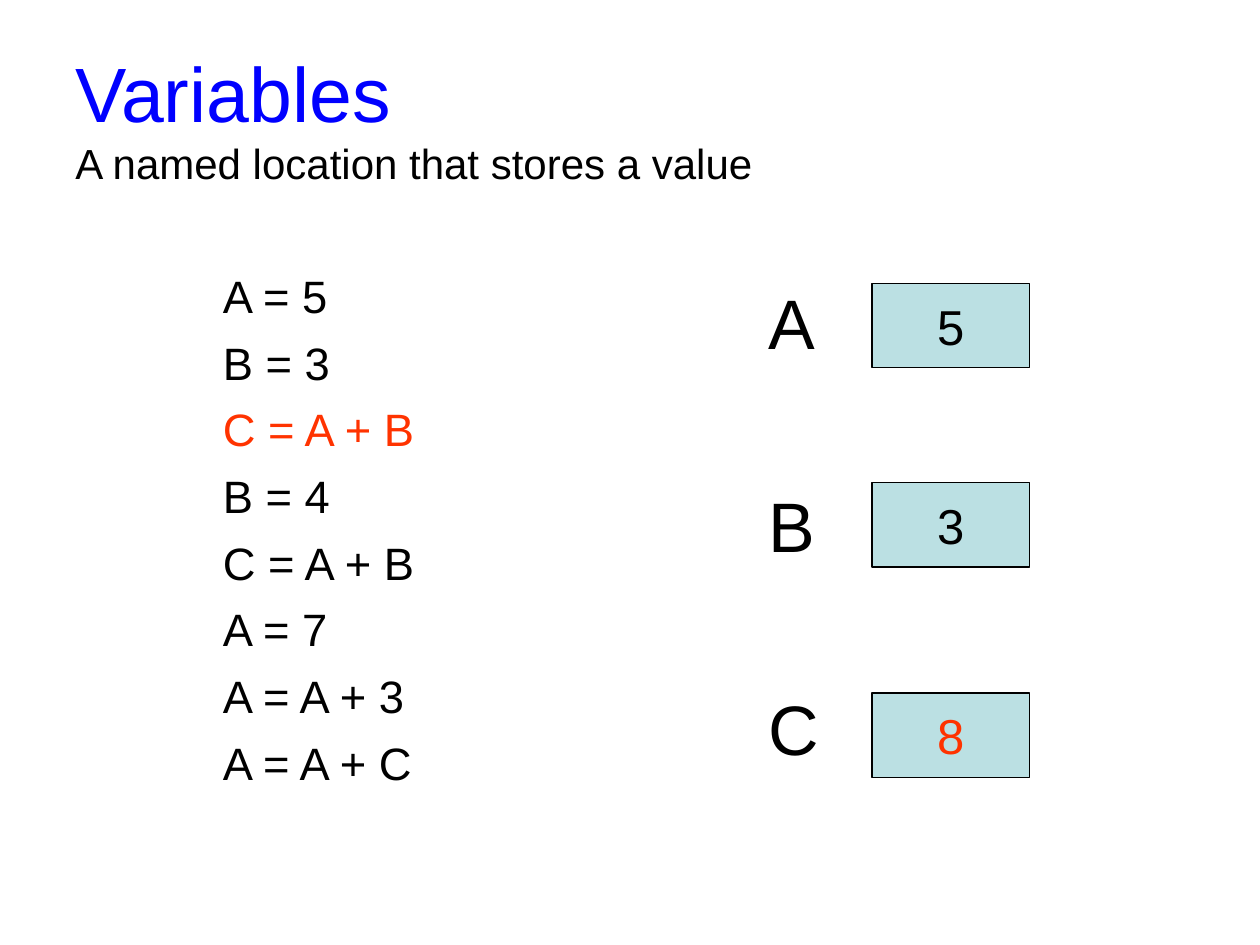
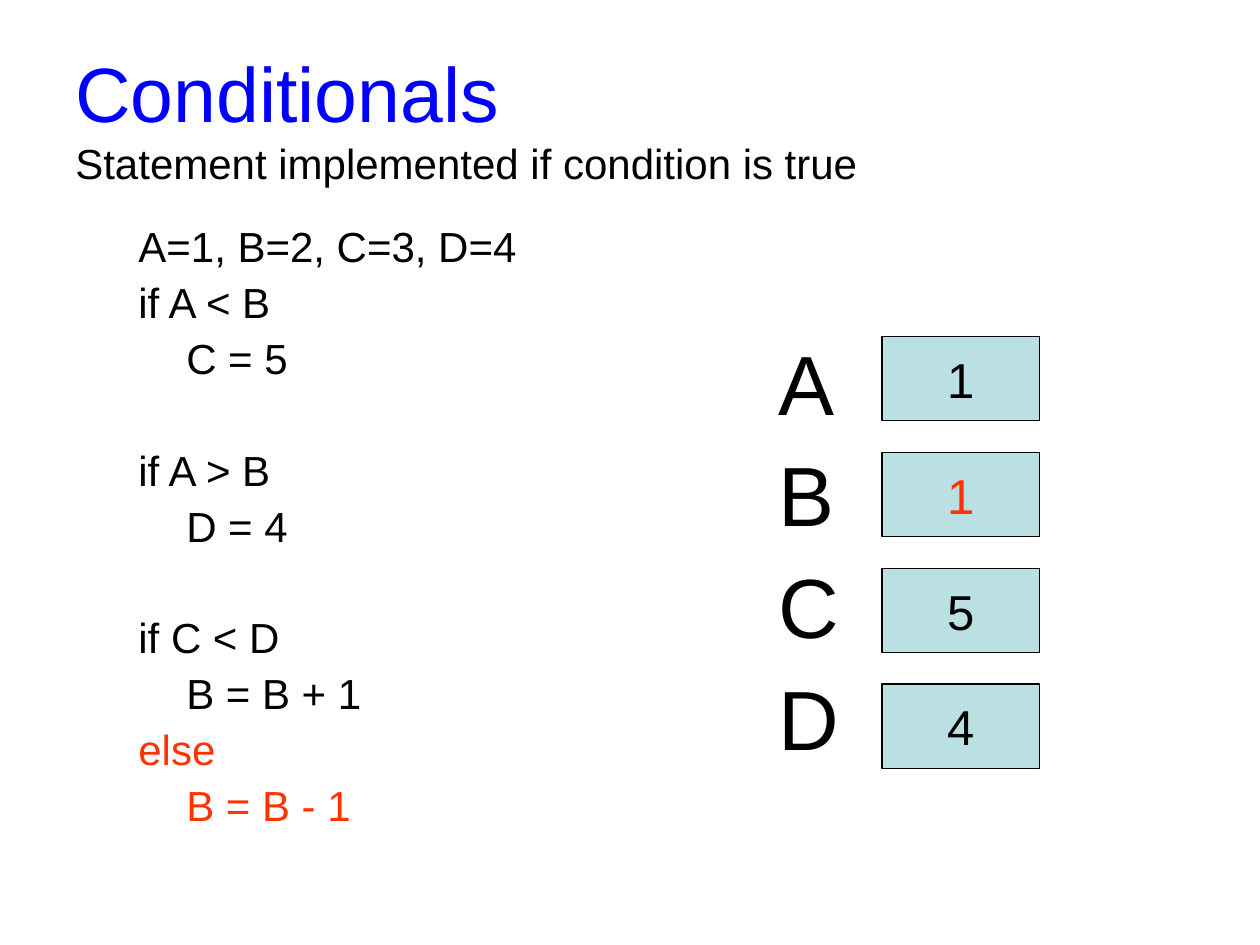
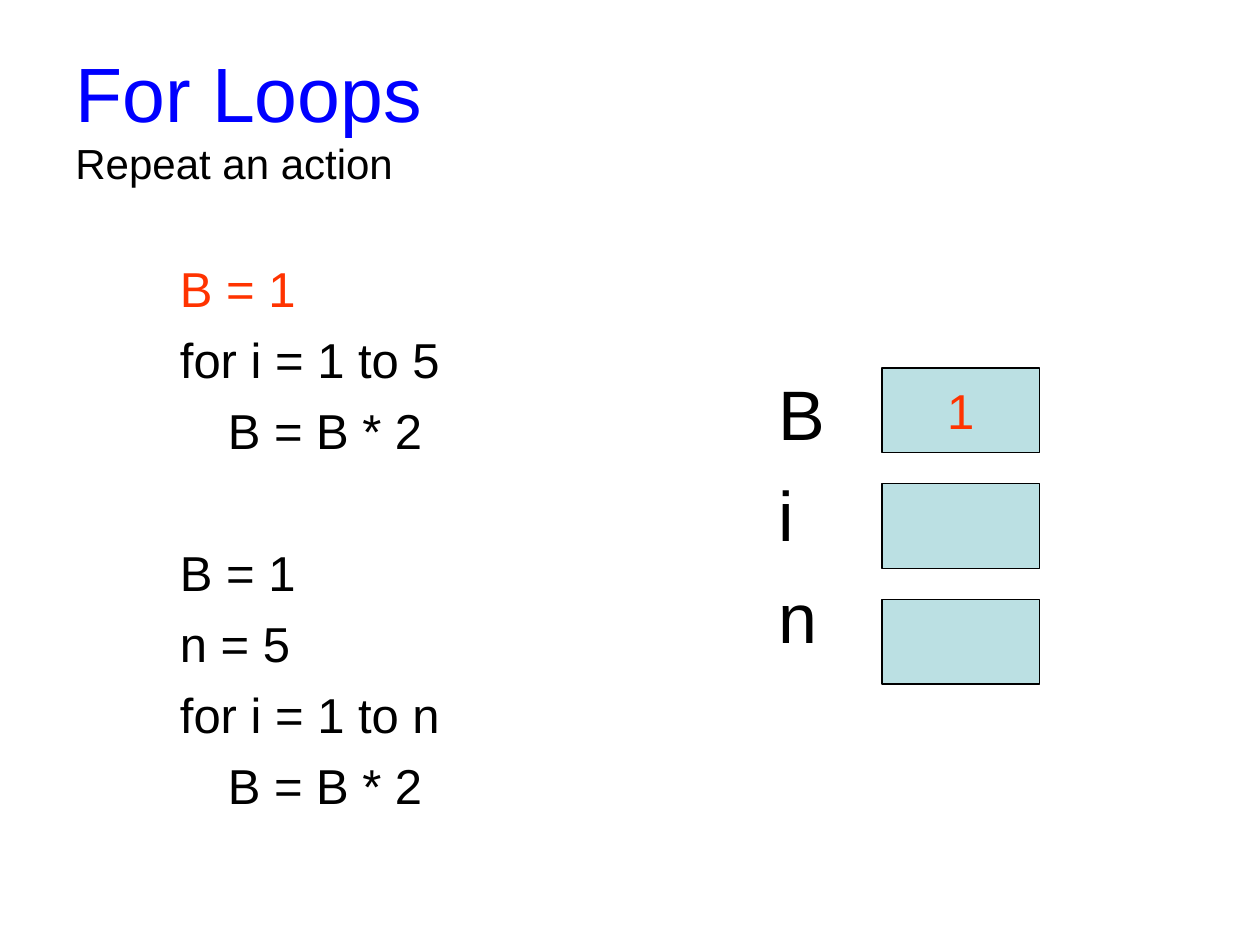
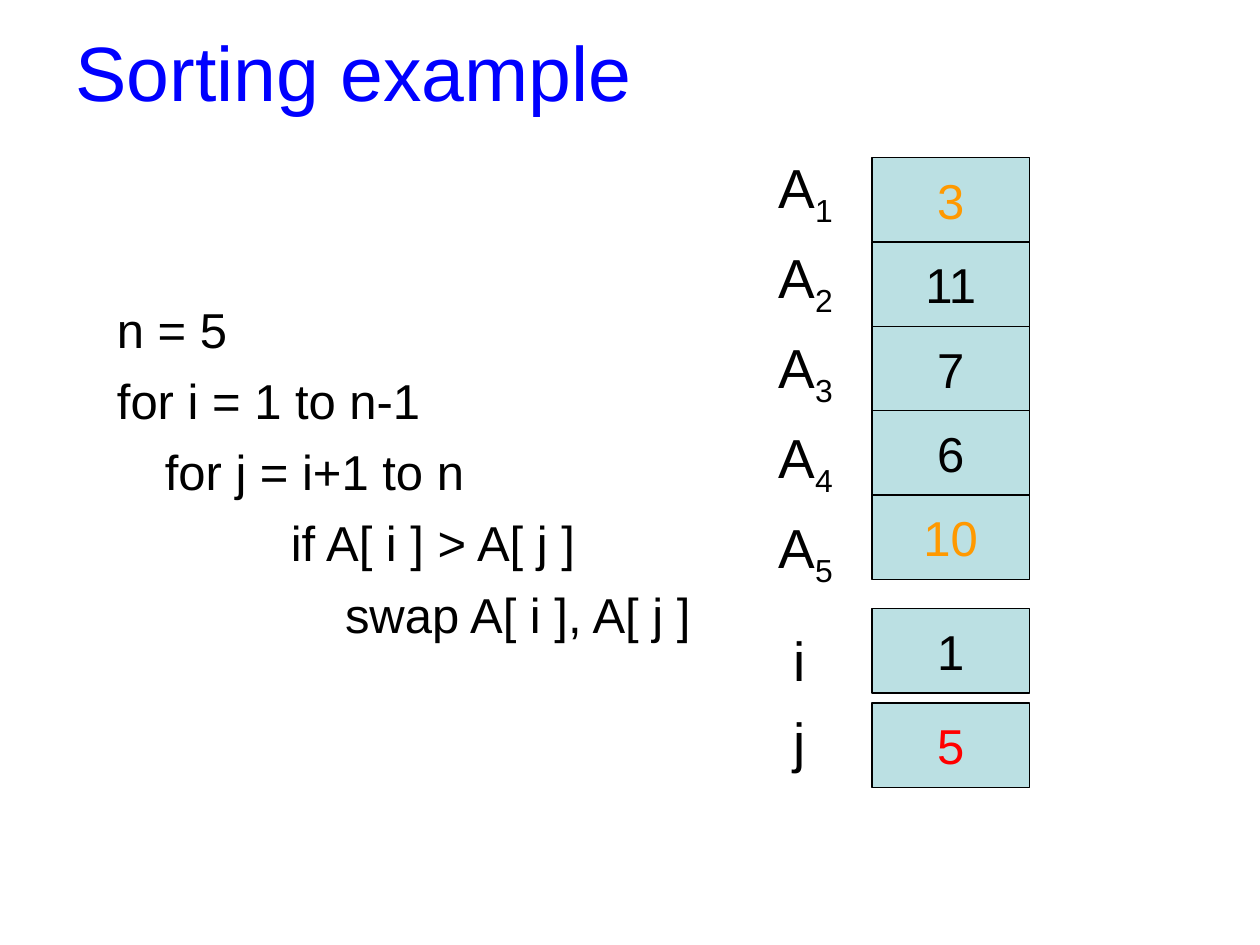
"""Build four slides that introduce variables, conditionals, loops and sorting."""
import pptx
import pptx.dml.color
import pptx.enum.shapes
import pptx.enum.text
import pptx.util

Inches, Pt = pptx.util.Inches, pptx.util.Pt
ALIGN = pptx.enum.text.PP_ALIGN
ANCHOR = pptx.enum.text.MSO_ANCHOR

FONT = "Arial"
COLORS = {"title": "0000FF", "text": "000000", "cell": "BBE0E3",
          "active": "FF3300", "compare": "FF9900", "index": "FF0000"}
CELL_W, CELL_H = 1.25, 0.67
TITLE_BOX = (0.5, 0.3, 9, 1.25)
STEP = {"indent": 0.38}
ACTIVE = {"color": "active"}

SLIDES = [
    {
        "title": "Variables",
        "subtitle": "A named location that stores a value",
        "code": {
            "box": (1.17, 2.08, 3.42, 4.33),
            "format": {"size": 25.9, "before": 7, "indent": 0.5},
            "lines": [("A = 5", {}), ("B = 3", {}), ("C = A + B", ACTIVE),
                      ("B = 4", {}), ("C = A + B", {}), ("A = 7", {}),
                      ("A = A + 3", {}), ("A = A + C", {})],
        },
        "names": {
            "box": (6, 2.17, 0.85, 4.08),
            "format": {"size": 40, "before": 68},
            "lines": [("A", {}), ("B", {}), ("C", {})],
        },
        "cell_left": 6.92,
        "cells": [(2.25, 0, [("5", "text")]),
                  (3.83, 0, [("3", "text")]),
                  (5.5, 0, [("8", "active")])],
    },
    {
        "title": "Conditionals",
        "subtitle": "Statement implemented if condition is true",
        "code": {
            "box": (1, 1.75, 4.08, 5.17),
            "format": {"size": 24, "before": 6, "spacing": 0.9},
            "lines": [("A=1, B=2, C=3, D=4", {}), ("if A < B", {}), ("C = 5", STEP),
                      ("if A > B", {"before": 37.9}), ("D = 4", STEP),
                      ("if C < D", {"before": 37.9}), ("B = B + 1", STEP),
                      ("else", ACTIVE), ("B = B - 1", {**STEP, **ACTIVE})],
        },
        "names": {
            "box": (6.08, 2.67, 0.85, 4.08),
            "format": {"size": 48, "before": 12, "spacing": 0.9},
            "lines": [("A", {}), ("B", {}), ("C", {}), ("D", {})],
        },
        "cell_left": 7,
        "cells": [(2.67, 0.92, [("1", "text"), ("1", "active"),
                                ("5", "text"), ("4", "text")])],
    },
    {
        "title": "For Loops",
        "subtitle": "Repeat an action",
        "code": {
            "box": (1.33, 2, 4.08, 5.17),
            "format": {"size": 28, "before": 7},
            "lines": [("B = 1", ACTIVE), ("for i = 1 to 5", {}), ("B = B * 2", STEP),
                      ("B = 1", {"before": 47.6}), ("n = 5", {}),
                      ("for i = 1 to n", {}), ("B = B * 2", STEP)],
        },
        "names": {
            "box": (6.08, 2.89, 0.85, 3.27),
            "format": {"size": 40, "before": 10},
            "lines": [("B", {}), ("i", {}), ("n", {})],
        },
        "cell_left": 7,
        "cells": [(2.92, 0.92, [("1", "active"), ("", "text"), ("", "text")])],
    },
    {
        "title": "Sorting example",
        "title_box": (0.5, 0.14, 9, 0.84),
        "code": {
            "box": (0.83, 2.33, 4.92, 5.17),
            "format": {"size": 28, "before": 7},
            "lines": [("n = 5", {}), ("for i = 1 to n-1", {}),
                      ("for j = i+1 to n", STEP),
                      ("if A[ i ] > A[ j ]", {"indent": 1.38}),
                      ("swap A[ i ], A[ j ]", {"indent": 1.81})],
        },
        "names": {
            "box": (6.08, 1.17, 0.85, 5.08),
            "format": {"size": 31.4, "before": 8.5},
            "lines": [*(("A", {"sub": str(n)}) for n in range(1, 6)),
                      ("i", {"indent": 0.12, "before": 22}),
                      ("j", {"indent": 0.12})],
        },
        "cell_left": 6.92,
        "cells": [(1.25, CELL_H, [("3", "compare"), ("11", "text"), ("7", "text"),
                                  ("6", "text"), ("10", "compare")]),
                  (4.83, 0.75, [("1", "text"), ("5", "index")])],
    },
]


def rgb(name):
    return pptx.dml.color.RGBColor.from_string(COLORS[name])


def add_text(tf, text, size=28, color="text", before=0, spacing=None,
             indent=0, align=ALIGN.LEFT, sub=""):
    p = tf.paragraphs[0]
    if p.runs:
        p = tf.add_paragraph()
        p.space_before = Pt(before)
    p.alignment = align
    if spacing:
        p.line_spacing = spacing
    if indent:
        p._p.get_or_add_pPr().set("marL", str(Inches(indent)))
    for part in filter(None, (text, sub)):
        r = p.add_run()
        r.text = part
        r.font.name, r.font.size = FONT, Pt(size)
        r.font.color.rgb = rgb(color)
    if sub:
        r.font._element.set("baseline", "-25000")


def add_box(s, box, anchor=ANCHOR.TOP):
    tf = s.shapes.add_textbox(*map(Inches, box)).text_frame
    tf.word_wrap = True
    tf.vertical_anchor = anchor
    return tf


def add_cell(s, left, top, value, color):
    sp = s.shapes.add_shape(pptx.enum.shapes.MSO_SHAPE.RECTANGLE,
                            *map(Inches, (left, top, CELL_W, CELL_H)))
    sp.shadow.inherit = False
    sp.fill.solid()
    sp.fill.fore_color.rgb = rgb("cell")
    sp.line.color.rgb = rgb("text")
    sp.line.width = Pt(0.75)
    if value:
        tf = sp.text_frame
        tf.word_wrap = False
        tf.vertical_anchor = ANCHOR.MIDDLE
        add_text(tf, value, color=color, align=ALIGN.CENTER)


def add_slide(prs, content):
    s = prs.slides.add_slide(prs.slide_layouts[6])
    tf = add_box(s, content.get("title_box", TITLE_BOX), ANCHOR.MIDDLE)
    add_text(tf, content["title"], size=44, color="title")
    if "subtitle" in content:
        add_text(tf, content["subtitle"], size=24)
    for block in (content["code"], content["names"]):
        tf = add_box(s, block["box"])
        for text, extra in block["lines"]:
            add_text(tf, text, **{**block["format"], **extra})
    for top, step, cells in content["cells"]:
        for i, (value, color) in enumerate(cells):
            add_cell(s, content["cell_left"], top + i * step, value, color)


def main():
    prs = pptx.Presentation()
    prs.slide_width, prs.slide_height = Inches(10), Inches(7.5)
    for content in SLIDES:
        add_slide(prs, content)
    prs.save("out.pptx")


if __name__ == "__main__":
    main()
